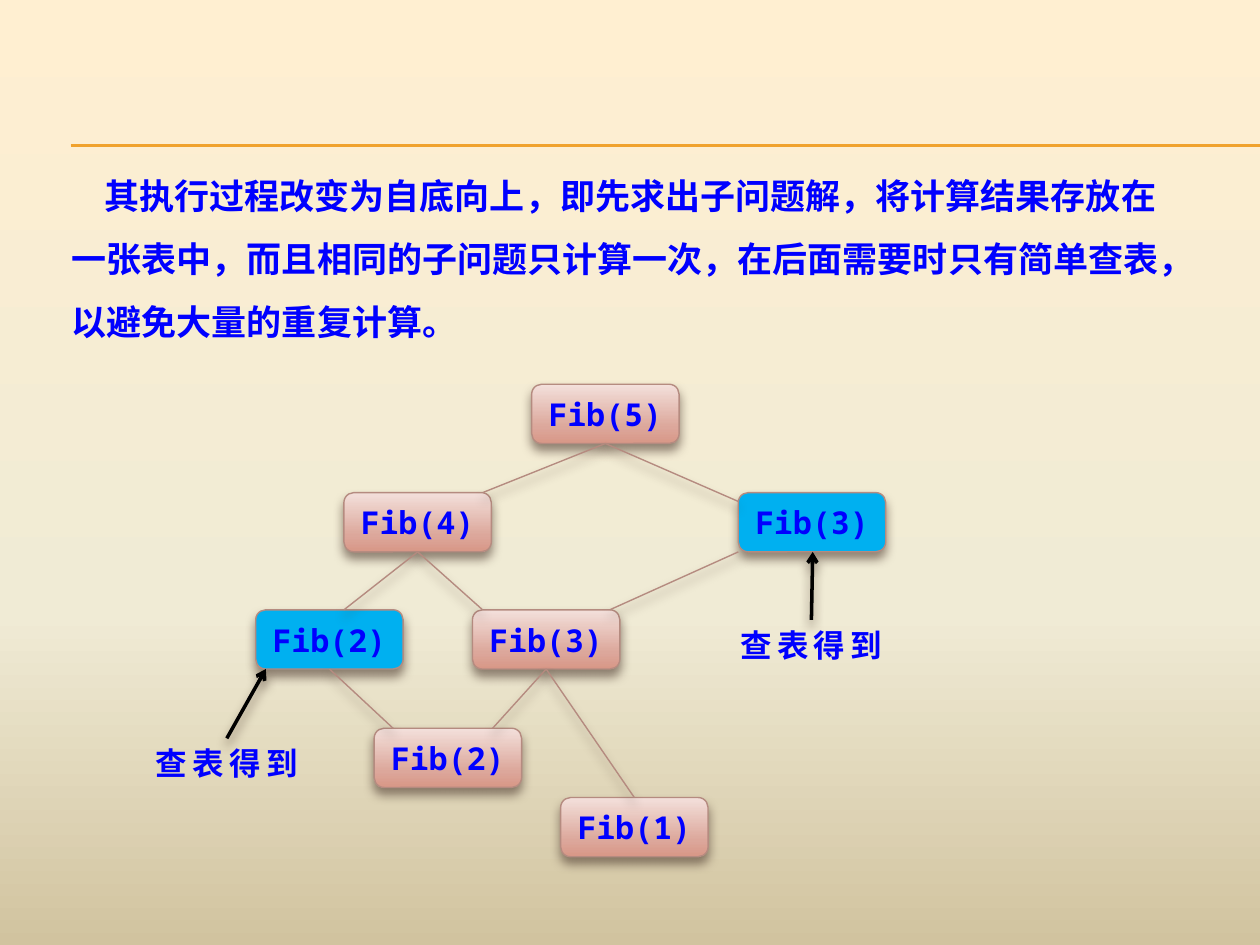
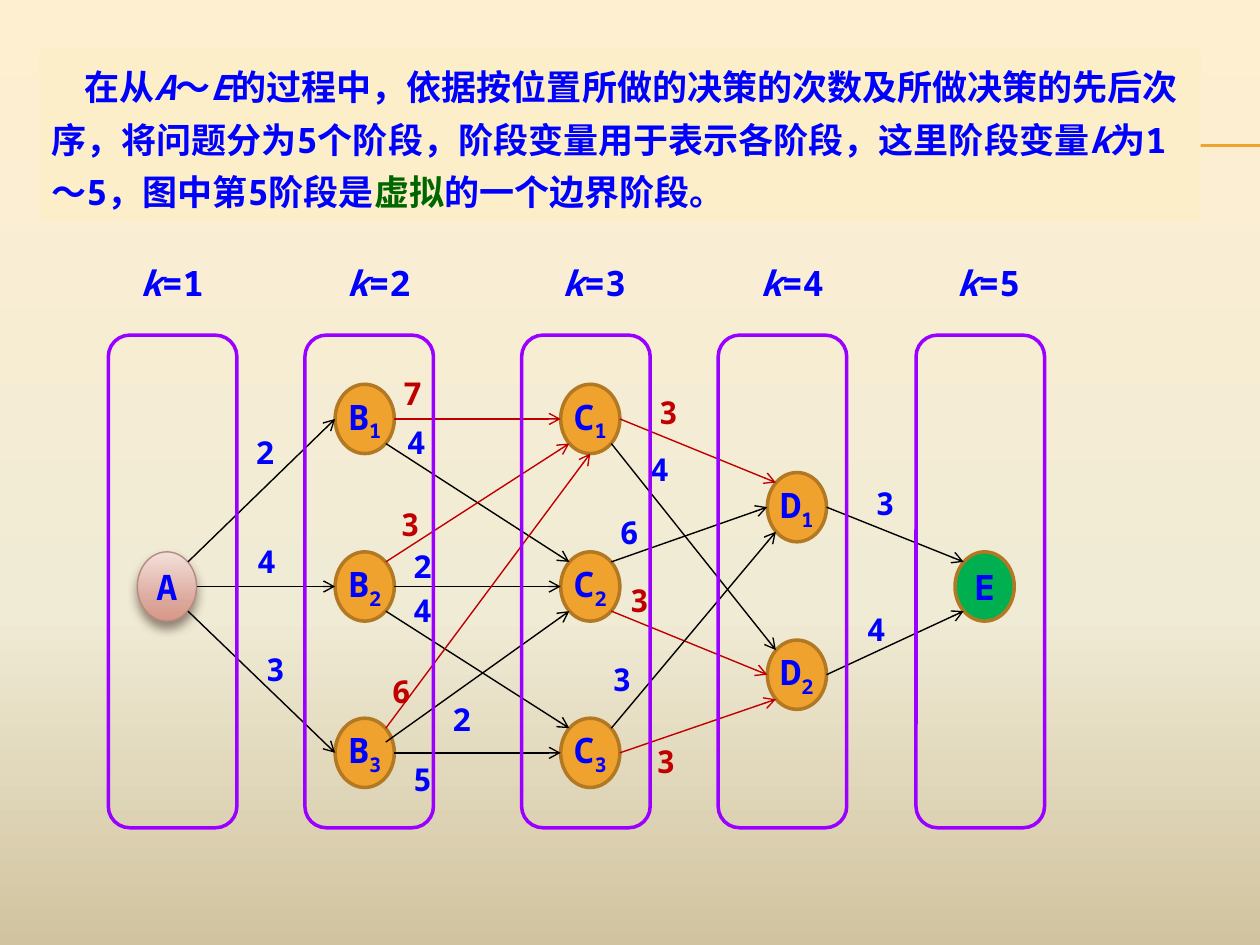
from copy import deepcopy
from lxml import etree
from pptx import Presentation, util as u
from pptx.dml.color import RGBColor
from pptx.enum import shapes as es, text as et
from pptx.oxml.ns import qn

HUES = {
    "blue": "0000FF", "red": "C00000", "green": "006600", "black": "000000",
    "rule": "F0A22E", "edge": "B58B80", "sky": "00B0F0", "orange": "F0A22E",
    "brown": "B27822", "leaf": "00B050", "violet": "9900FF", "cream": "FBEEC9",
    "shade": "4E3B30",
}
SKY = [(0, "FFEFD1"), (65, "F0EBD5"), (100, "D1C39F")]
ROSE = [(0, "F3E0DB"), (72, "DCA79B"), (100, "D89787")]
MONO, HAN = "Noto Sans Mono", "Noto Sans CJK SC"

INTRO = ("其执行过程改变为自底向上，即先求出子问题解，将计算结果存放在一张表中，"
         "而且相同的子问题只计算一次，在后面需要时只有简单查表，以避免大量的重复计算。")
BOX = (1.17, 0.47)
CALLS = {
    "top": ("Fib(5)", 4.22, 3.05, ROSE),
    "four": ("Fib(4)", 2.73, 3.91, ROSE),
    "three": ("Fib(3)", 3.75, 4.84, ROSE),
    "two": ("Fib(2)", 2.03, 4.84, "sky"),
    "low": ("Fib(2)", 2.97, 5.78, ROSE),
    "one": ("Fib(1)", 4.45, 6.33, ROSE),
    "side": ("Fib(3)", 5.86, 3.91, "sky"),
}
MID = BOX[0] / 2
LINKS = [
    ("top", MID, "four", 1.1, 0), ("top", MID, "side", 0, 0.07),
    ("four", MID, "two", 0.7, 0), ("four", MID, "three", 0.08, 0),
    ("side", 0, "three", 1.09, 0), ("two", MID, "low", 0.15, 0),
    ("three", MID, "low", 0.94, 0), ("three", MID, "one", MID, 0),
]
NOTE = "查表得到"
NOTES = [(5.66, 4.92, (6.45, 4.38)), (1.02, 5.86, (2.11, 5.31))]

ITAL = {"italic": True}
STAGE = [
    ("在从", {}), ("A", ITAL), ("～", {}), ("E", ITAL),
    ("的过程中，依据按位置所做的决策的次数及所做决策的先后次序，"
     "将问题分为5个阶段，阶段变量用于表示各阶段，这里阶段变量", {}),
    ("k", ITAL), ("为1～5，图中第5阶段是", {}),
    ("虚拟", {"color": "green"}), ("的一个边界阶段。", {}),
]
COLS = [(0.86, 1.02), (2.42, 2.66), (4.14, 4.37), (5.7, 5.94), (7.27, 7.5)]
OVAL = (0.47, 0.55)
NODES = {
    "A": (1.09, 4.38), "B1": (2.66, 3.05), "B2": (2.66, 4.38), "B3": (2.66, 5.7),
    "C1": (4.45, 3.05), "C2": (4.45, 4.38), "C3": (4.45, 5.7),
    "D1": (6.09, 3.75), "D2": (6.09, 5.08), "E": (7.58, 4.38),
}
DIAG = 0.71
SITES = {
    "e": (1, 0), "w": (-1, 0), "s": (0, 1), "ne": (DIAG, -DIAG),
    "nw": (-DIAG, -DIAG), "se": (DIAG, DIAG), "sw": (-DIAG, DIAG),
    "ene": (DIAG, -0.31),
}
ROADS = [
    ("A", "ne", "B1", "w", "2", "blue", 2.03, 3.44),
    ("A", "e", "B2", "w", "4", "blue", 2.04, 4.3),
    ("A", "se", "B3", "w", "3", "blue", 2.11, 5.16),
    ("B1", "e", "C1", "w", "7", "red", 3.2, 2.97),
    ("B1", "se", "C2", "nw", "4", "blue", 3.23, 3.36),
    ("B2", "ne", "C1", "sw", "3", "red", 3.18, 4.01),
    ("B2", "e", "C2", "w", "2", "blue", 3.28, 4.34),
    ("B2", "se", "C3", "nw", "4", "blue", 3.28, 4.69),
    ("B3", "ne", "C1", "s", "6", "red", 3.11, 5.33),
    ("B3", "ene", "C2", "sw", "2", "blue", 3.59, 5.56),
    ("B3", "e", "C3", "w", "5", "blue", 3.28, 6.03),
    ("C1", "e", "D1", "nw", "3", "red", 5.23, 3.12),
    ("C1", "se", "D2", "nw", "4", "blue", 5.16, 3.57),
    ("C2", "ne", "D1", "w", "6", "blue", 4.92, 4.07),
    ("C2", "se", "D2", "w", "3", "red", 5, 4.61),
    ("C3", "ne", "D1", "sw", "3", "blue", 4.86, 5.24),
    ("C3", "e", "D2", "sw", "3", "red", 5.21, 5.89),
    ("D1", "e", "E", "nw", "3", "blue", 6.95, 3.84),
    ("D2", "e", "E", "sw", "4", "blue", 6.88, 4.84),
]


def tint(name):
    return RGBColor.from_string(HUES.get(name, name))


def fade(fill, root, stops):
    fill.gradient()
    fill.gradient_angle = 270
    bank = next(root.iter(qn("a:gsLst")))
    bank.append(deepcopy(bank[-1]))
    for stop, (pos, hue) in zip(fill.gradient_stops, stops):
        stop.position = pos / 100
        stop.color.rgb = RGBColor.from_string(hue)


def glow(item, shade):
    fx = etree.SubElement(item.element.spPr, qn("a:effectLst"))
    if shade:
        cast = etree.SubElement(fx, qn("a:outerShdw"), blurRad=str(u.Pt(6)),
                                dist=str(u.Pt(4)), dir="5400000", rotWithShape="0")
        hue = etree.SubElement(cast, qn("a:srgbClr"), val=HUES["shade"])
        etree.SubElement(hue, qn("a:alpha"), val="60000")


def wire(slide, start, end, hue, width=0.79, arrow=False, shade=False):
    ends = [u.Inches(v) for v in (*start, *end)]
    line = slide.shapes.add_connector(es.MSO_CONNECTOR.STRAIGHT, *ends)
    line.line.color.rgb = tint(hue)
    line.line.width = u.Pt(width)
    if arrow:
        etree.SubElement(line.line._get_or_add_ln(), qn("a:tailEnd"), type="arrow")
    glow(line, shade)


def form(host, kind, spot, size, fill=None, line=None, width=0.79, shade=False):
    item = host.shapes.add_shape(kind, *[u.Inches(v) for v in (*spot, *size)])
    if isinstance(fill, list):
        fade(item.fill, item.element, fill)
    elif fill:
        item.fill.solid()
        item.fill.fore_color.rgb = tint(fill)
    else:
        item.fill.background()
    if line:
        item.line.color.rgb = tint(line)
        item.line.width = u.Pt(width)
    else:
        item.line.fill.background()
    glow(item, shade)
    return item


def field(host, spot, size):
    return host.shapes.add_textbox(*[u.Inches(v) for v in (*spot, *size)])


def write(item, runs, size=18, color="blue", font=MONO, align="LEFT", anchor="TOP",
          pads=(0.1, 0.05, 0.1, 0.05), lead=None, indent=0, track=0):
    frame = item.text_frame
    frame.word_wrap = True
    frame.vertical_anchor = et.MSO_ANCHOR[anchor]
    for side, pad in zip(("left", "top", "right", "bottom"), pads):
        setattr(frame, "margin_" + side, u.Inches(pad))
    para = frame.paragraphs[0]
    para.alignment = et.PP_ALIGN[align]
    if lead:
        para.line_spacing = lead
    if indent:
        para._p.get_or_add_pPr().set("indent", str(u.Inches(indent)))
    for words, look in [(runs, {})] if isinstance(runs, str) else runs:
        run = para.add_run()
        run.text = words
        face = run.font
        face.size, face.name, face.bold = u.Pt(size), font, True
        face.italic = look.get("italic", False)
        face.color.rgb = tint(look.get("color", color))
        props = run._r.get_or_add_rPr()
        etree.SubElement(props, qn("a:ea"), typeface=HAN)
        if track:
            props.set("spc", str(track * 100))
        if "base" in look:
            props.set("baseline", str(look["base"] * 1000))


def start(deck):
    slide = deck.slides.add_slide(deck.slide_layouts[6])
    for y in (1.15, 1.16):
        wire(slide, (0.56, y), (10, y), "rule", 0.75)
    return slide


def tree(deck):
    slide = start(deck)
    write(field(slide, (0.47, 1.17), (8.91, 1.55)), INTRO,
          size=20, lead=1.5, indent=0.26)
    for name, x, y, fill in CALLS.values():
        box = form(slide, es.MSO_SHAPE.ROUNDED_RECTANGLE, (x, y), BOX,
                   fill, "edge", shade=True)
        write(box, name, align="CENTER", anchor="MIDDLE")
    for top, dx, low, ex, ey in LINKS:
        x, y = CALLS[top][1:3]
        cx, cy = CALLS[low][1:3]
        wire(slide, (x + dx, y + BOX[1]), (cx + ex, cy + ey), "edge", shade=True)
    for x, y, goal in NOTES:
        write(field(slide, (x, y), (1.56, 0.4)), NOTE,
              font=HAN, align="CENTER", track=3)
        wire(slide, (x + 0.78, y), goal, "black", 2, arrow=True, shade=True)


def port(name, side):
    return [p + d / 2 * (1 + k) for p, d, k in zip(NODES[name], OVAL, SITES[side])]


def graph(deck):
    slide = start(deck)
    for name, spot in NODES.items():
        first = name == "A"
        fill = {"A": ROSE, "E": "leaf"}.get(name, "orange")
        node = form(slide, es.MSO_SHAPE.OVAL, spot, OVAL, fill,
                    "edge" if first else "brown", 0.79 if first else 2, first)
        runs = [(name[0], {})] + [(n, {"base": -25}) for n in name[1:]]
        write(node, runs, size=20, align="CENTER", anchor="MIDDLE",
              pads=(0, 0.05, 0, 0.05))
    for a, out, b, into, cost, hue, x, y in ROADS:
        wire(slide, port(a, out), port(b, into),
             "red" if hue == "red" else "black", arrow=True)
        write(field(slide, (x, y), (0.23, 0.3)), cost, color=hue, pads=(0,) * 4)
    band = form(slide, es.MSO_SHAPE.RECTANGLE, (0.31, 0.39), (9.22, 1.36), "cream")
    write(band, STAGE, size=20, lead=u.Pt(30), indent=0.26)
    for k, (x, tx) in enumerate(COLS, 1):
        group = slide.shapes.add_group_shape()
        form(group, es.MSO_SHAPE.ROUNDED_RECTANGLE, (x, 2.66), (1.02, 3.91),
             line="violet", width=2)
        write(field(group, (tx, 2.03), (0.7, 0.44)), [("k", ITAL), (f"={k}", {})],
              size=20, pads=(0.1, 0.05, 0, 0.05))


def main():
    deck = Presentation()
    deck.slide_width, deck.slide_height = u.Inches(10), u.Inches(7.5)
    master = deck.slide_master
    fade(master.background.fill, master.element, SKY)
    tree(deck)
    graph(deck)
    deck.save("out.pptx")


if __name__ == "__main__":
    main()
